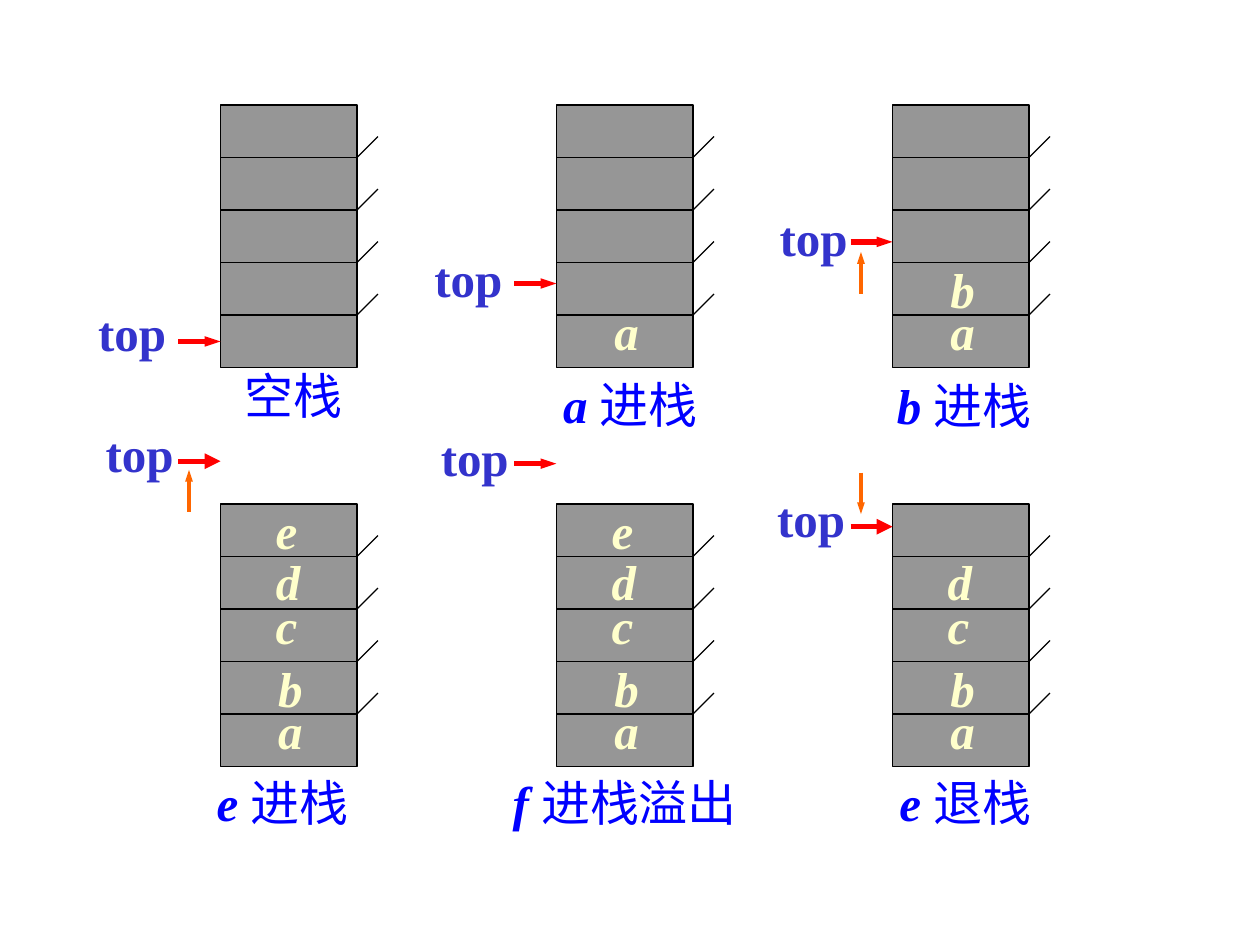
from dataclasses import dataclass
from typing import Optional

from lxml.etree import SubElement
from pptx import Presentation
from pptx.dml.color import RGBColor
from pptx.enum.shapes import MSO_CONNECTOR as Connector, MSO_SHAPE as Shape
from pptx.enum.text import MSO_AUTO_SIZE as AutoSize
from pptx.oxml.ns import qn
from pptx.util import Inches, Pt

FONT = "Times New Roman"
BLACK, GRAY = "000000", "969696"
RED, ORANGE = "FF0000", "FF6600"
BLUE, INDIGO, CREAM = "0000FF", "3333CC", "FFFFCC"

# Stack geometry in inches
CELLS, CELL_H, STACK_W, TICK = 5, 5 / 12, 13 / 12, 1 / 6
STACK_H = CELLS * CELL_H
COLUMNS = [1.75 + i * 8 / 3 for i in range(3)]
ROWS = [5 / 6, 4]
POINTER_W, MOVE_H, MOVE_DX = 1 / 3, 0.33, 0.25

# Letter offsets from the stack's corner: left, top, box width
LETTERS = {
    "a": (0.36, 1.51, 0.39),
    "b": (0.36, 1.18, 0.39),
    "c": (0.34, 0.68, 0.37),
    "d": (0.34, 0.33, 0.39),
    "e": (0.34, -0.08, 0.37),
}


@dataclass
class Panel:
    column: int
    row: int
    content: str
    letter: str              # element named in the caption
    action: str
    caption: tuple           # left, top, width
    label: tuple             # left, top of "top"
    pointer_y: float
    head: str = "sm"         # width of the pointer's arrowhead
    move: Optional[tuple] = None  # start y, direction (-1 up, 1 down)


PANELS = [
    Panel(0, 0, "", "", "空栈", (1.84, 2.85, 1.02), (0.68, 2.35), 2.71),
    Panel(1, 0, "a", "a", "进栈", (4.37, 2.92, 1.41), (3.35, 1.92), 2.25),
    Panel(1, 1, "abcde", "f", "进栈溢出", (3.97, 6.08, 2.12), (3.4, 3.34), 3.68),
    Panel(2, 0, "ab", "b", "进栈", (7.02, 2.93, 1.41), (6.09, 1.6), 1.92,
          move=(2.33, -1)),
    Panel(0, 1, "abcde", "e", "进栈", (1.62, 6.08, 1.39), (0.74, 3.31), 3.66,
          head="med", move=(4.06, -1)),
    Panel(2, 1, "abcd", "e", "退栈", (7.04, 6.08, 1.39), (6.07, 3.83), 4.18,
          head="med", move=(3.75, 1)),
]


def color(value):
    return RGBColor.from_string(value)


def add_line(group, start, end, line_color=BLACK, width=0.75, head=None):
    line = group.shapes.add_connector(
        Connector.STRAIGHT, *(Inches(v) for v in (*start, *end)))
    line.line.color.rgb = color(line_color)
    line.line.width = Pt(width)
    if head:
        SubElement(line.line._get_or_add_ln(), qn("a:tailEnd"),
                   type="triangle", w=head, len="med")
    SubElement(line._element.spPr, qn("a:effectLst"))


def add_text(group, place, parts, text_color):
    """Write one line; parts are (text, bold, italic)."""
    box = group.shapes.add_textbox(*(Inches(v) for v in (*place, 0.57)))
    box.text_frame.word_wrap = False
    box.text_frame.auto_size = AutoSize.SHAPE_TO_FIT_TEXT
    para = box.text_frame.paragraphs[0]
    para.font.name = FONT
    para.font.size = Pt(28)
    para.font.color.rgb = color(text_color)
    for text, bold, italic in parts:
        span = para.add_run()
        span.text = text
        span.font.bold = bold
        span.font.italic = italic


def add_stack(group, left, top):
    body = group.shapes.add_shape(
        Shape.RECTANGLE, *(Inches(v) for v in (left, top, STACK_W, STACK_H)))
    body.shadow.inherit = False
    body.fill.solid()
    body.fill.fore_color.rgb = color(GRAY)
    body.line.color.rgb = color(BLACK)
    body.line.width = Pt(0.75)
    right = left + STACK_W
    for i in range(1, CELLS):
        y = top + i * CELL_H
        add_line(group, (left, y), (right, y))
        add_line(group, (right, y), (right + TICK, y - TICK))


def add_panel(page, panel):
    group = page.shapes.add_group_shape()
    left, top = COLUMNS[panel.column], ROWS[panel.row]

    # Stack and its elements
    add_stack(group, left, top)
    for letter in panel.content:
        dx, dy, width = LETTERS[letter]
        add_text(group, (left + dx, top + dy, width),
                 [(letter, True, True)], CREAM)

    # Top pointer
    add_text(group, (*panel.label, 0.74), [("top", True, False)], INDIGO)
    add_line(group, (left - POINTER_W, panel.pointer_y),
             (left, panel.pointer_y), RED, 3, panel.head)

    # Movement of the pointer
    if panel.move:
        y, direction = panel.move
        x = left - MOVE_DX
        add_line(group, (x, y), (x, y + direction * MOVE_H),
                 ORANGE, 2.25, "sm")

    # Caption
    parts = [(panel.action, False, False)]
    if panel.letter:
        parts.insert(0, (panel.letter + " ", True, True))
    add_text(group, panel.caption, parts, BLUE)


def main():
    deck = Presentation()
    deck.slide_width, deck.slide_height = Inches(10), Inches(7.5)
    page = deck.slides.add_slide(deck.slide_layouts[6])
    for panel in PANELS:
        add_panel(page, panel)
    deck.save("out.pptx")


if __name__ == "__main__":
    main()
